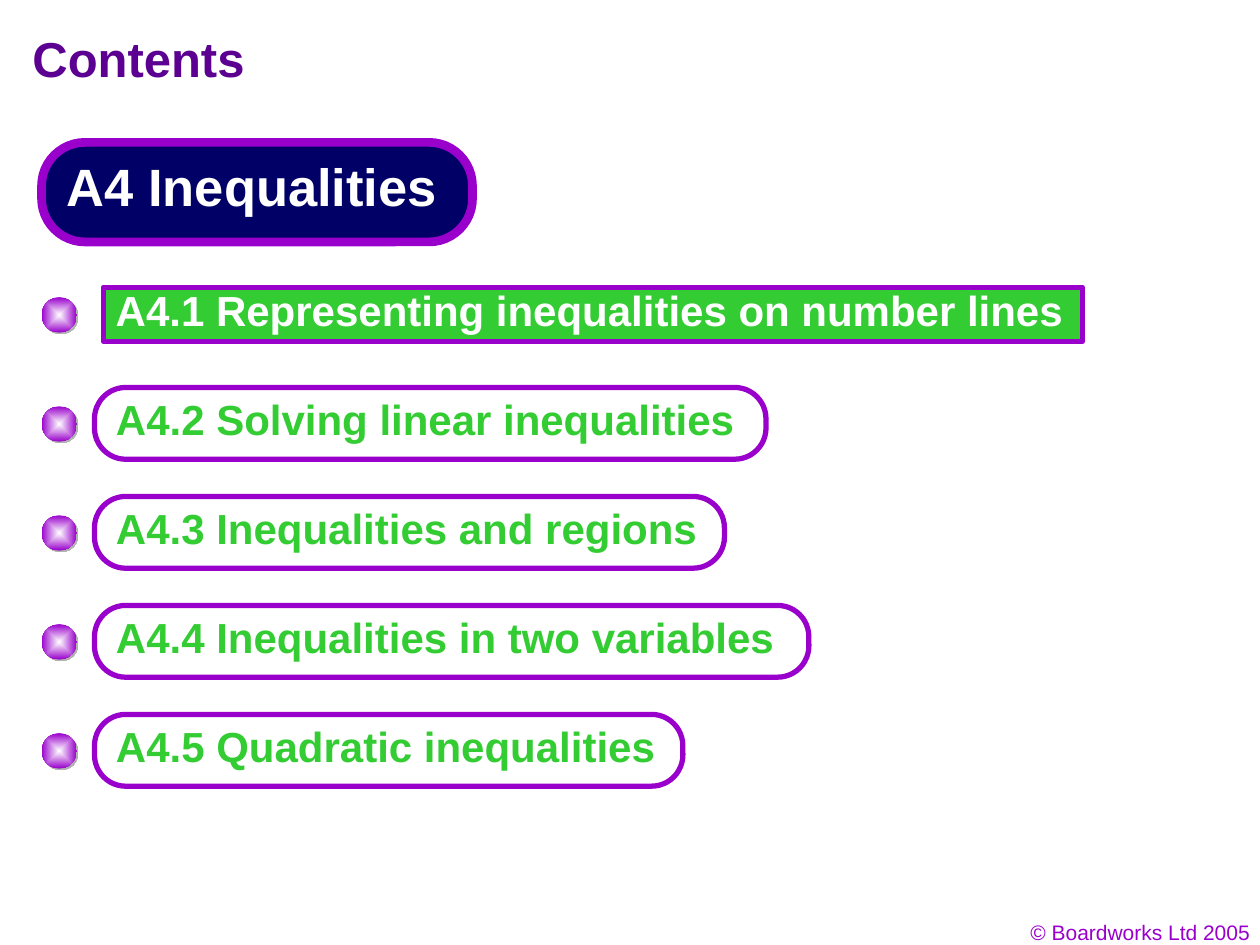
import pptx
import pptx.dml.color
import pptx.enum.dml
import pptx.enum.shapes
import pptx.enum.text
import pptx.oxml
import pptx.oxml.ns
import pptx.util

Inches = pptx.util.Inches
Pt = pptx.util.Pt
Shape = pptx.enum.shapes.MSO_SHAPE
Anchor = pptx.enum.text.MSO_ANCHOR
Align = pptx.enum.text.PP_ALIGN

PURPLE = "9900CC"
GREEN = "33CC33"
WHITE = "FFFFFF"
NAVY = "010066"
VIOLET = "5B0091"
SHADOW = "B2B2B2"


def colour(value):
    return pptx.dml.color.RGBColor.from_string(value)


class ContentsPage:
    font_name = "Arial"
    corner = 0.436

    def __init__(self, deck):
        self.page = deck.slides.add_slide(deck.slide_layouts[6])

    def add_words(self, box, text, size, ink, bold=True, anchor=Anchor.TOP,
                  align=Align.LEFT, spacing=1.0, margin=0.05):
        frame = box.text_frame
        frame.word_wrap = True
        frame.vertical_anchor = anchor
        frame.margin_left = frame.margin_right = Inches(0.1)
        frame.margin_top = frame.margin_bottom = Inches(margin)
        para = frame.paragraphs[0]
        para.alignment = align
        para.line_spacing = spacing
        span = para.add_run()
        span.text = text
        span.font.name = self.font_name
        span.font.size = Pt(size)
        span.font.bold = bold
        span.font.color.rgb = colour(ink)

    def label(self, left, top, width, height, text, size, ink, **style):
        box = self.page.shapes.add_textbox(
            Inches(left), Inches(top), Inches(width), Inches(height))
        self.add_words(box, text, size, ink, **style)

    def panel(self, kind, left, top, width, height, fill, border,
              text, size, ink, **style):
        box = self.page.shapes.add_shape(
            kind, Inches(left), Inches(top), Inches(width), Inches(height))
        box.shadow.inherit = False
        if kind == Shape.ROUNDED_RECTANGLE:
            box.adjustments[0] = self.corner
        box.fill.solid()
        box.fill.fore_color.rgb = colour(fill)
        box.line.color.rgb = colour(PURPLE)
        box.line.width = Pt(border)
        self.add_words(box, text, size, ink, **style)

    def bullet(self, left, top, size):
        ball = self.page.shapes.add_shape(
            Shape.OVAL, Inches(left), Inches(top), Inches(size), Inches(size))
        ball.line.fill.background()
        ball.fill.gradient()
        for stop, position, shade in zip(
                ball.fill.gradient_stops, (0, 1), (WHITE, PURPLE)):
            stop.position = position
            stop.color.rgb = colour(shade)
        namespace = pptx.oxml.ns.nsdecls("a")
        properties = ball._element.spPr
        direction = properties.find(".//" + pptx.oxml.ns.qn("a:lin"))
        direction.getparent().replace(direction, pptx.oxml.parse_xml(
            f'<a:path {namespace} path="rect"><a:fillToRect l="50000" '
            't="50000" r="50000" b="50000"/></a:path>'))
        ball.shadow.inherit = False
        effects = properties.find(pptx.oxml.ns.qn("a:effectLst"))
        effects.append(pptx.oxml.parse_xml(
            f'<a:outerShdw {namespace} dist="{Pt(1.4)}" dir="2700000" '
            f'algn="ctr"><a:srgbClr val="{SHADOW}"/></a:outerShdw>'))


def main():
    deck = pptx.Presentation()
    deck.slide_width = Inches(10)
    deck.slide_height = Inches(7.5)
    contents = ContentsPage(deck)

    contents.label(7.69, 7.25, 2.33, 0.3, "© Boardworks Ltd 2005", 12, PURPLE,
                   bold=False, align=Align.RIGHT)
    contents.label(0.16, 0.16, 8.5, 0.58, "Contents", 28, VIOLET,
                   anchor=Anchor.BOTTOM)
    contents.panel(Shape.ROUNDED_RECTANGLE, 0.33, 1.13, 3.42, 0.79, NAVY, 5,
                   "A4 Inequalities", 30, WHITE, spacing=0.9)

    first_top, last_top = 2.36, 5.82
    topics = [
        ("A4.2 Solving linear inequalities", 5.33),
        ("A4.3 Inequalities and regions", 5),
        ("A4.4 Inequalities in two variables", 5.67),
        ("A4.5 Quadratic inequalities", 4.67),
    ]
    step = (last_top - first_top) / len(topics)
    topic_style = dict(anchor=Anchor.MIDDLE, spacing=0.8, margin=0)

    contents.bullet(0.33, first_top, 0.28)
    contents.panel(Shape.RECTANGLE, 0.82, first_top - 0.08, 7.77, 0.43,
                   GREEN, 3, "A4.1 Representing inequalities on number lines",
                   24, WHITE, **topic_style)
    for row, (text, width) in enumerate(topics, start=1):
        top = first_top + row * step
        contents.bullet(0.33, top, 0.28)
        contents.panel(Shape.ROUNDED_RECTANGLE, 0.75, top - 0.15, width, 0.57,
                       WHITE, 3, text, 24, GREEN, **topic_style)

    deck.save("out.pptx")


if __name__ == "__main__":
    main()
